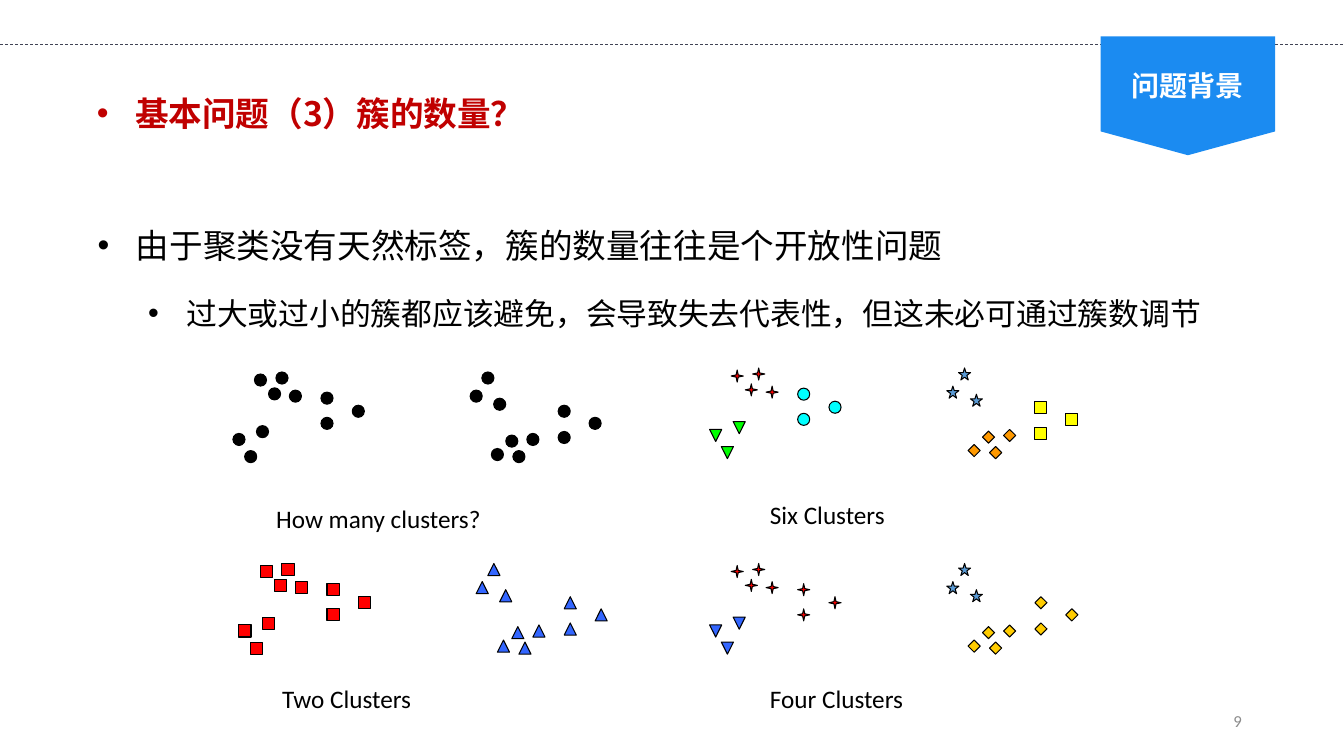
from lxml import etree
from pptx import Presentation, util as u
from pptx.dml.color import RGBColor
from pptx.enum import dml, shapes as sh, text as t
from pptx.oxml import ns

W, H = u.Inches(13.333), u.Inches(7.5)
COL, ROW = W / 100, H / 100
CJK = "Noto Sans CJK SC"
M = sh.MSO_SHAPE

BLOBS = {
    "a": [(4.2, 2.4), (1.6, 0.27), (3.2, 0), (2.65, 2.1)],
    "b": [(1.75, 7.1), (0, 8.13), (0.87, 10.4)],
    "c": [(6.55, 2.67), (8.88, 4.4), (6.55, 6)],
    "d": [(21.87, 8.13), (19.23, 10.13), (20.83, 10.4), (20.3, 8.35)],
    "e": [(19.4, 3.47), (17.65, 2.4), (18.52, 0)],
    "f": [(24.2, 7.87), (26.5, 6), (24.2, 4.4)],
}
PANELS = [
    ((17.33, 49.2), "How many clusters?", (2.48, 16.67),
     [("abcdef", M.OVAL, "000000", 0)]),
    ((52.8, 74.53), "Four Clusters", (3.75, 15.2),
     [("df", M.DIAMOND, "FFCC00", 0), ("e", M.STAR_5_POINT, "5B9BD5", 0),
      ("ac", M.STAR_4_POINT, "FF0000", 0),
      ("b", M.FLOWCHART_EXTRACT, "3366FF", 180)]),
    ((17.78, 74.53), "Two Clusters", (2.48, 15.2),
     [("def", M.ISOSCELES_TRIANGLE, "3366FF", 0),
      ("abc", M.RECTANGLE, "FF0000", 0)]),
    ((52.8, 48.67), "Six Clusters", (3.75, 16.67),
     [("d", M.DIAMOND, "FF9900", 0), ("e", M.STAR_5_POINT, "5B9BD5", 0),
      ("f", M.RECTANGLE, "FFFF00", 0), ("a", M.STAR_4_POINT, "FF0000", 0),
      ("b", M.ISOSCELES_TRIANGLE, "00FF00", 180),
      ("c", M.OVAL, "00FFFF", 0)]),
]


def color(value):
    return RGBColor.from_string(value)


def grid(x, y, w, h):
    return [round(n) for n in (x * COL, y * ROW, w * COL, h * ROW)]


def apply(obj, formats):
    for name, value in formats.items():
        setattr(obj, name, value)


def bullet(p, left, spacing, before):
    apply(p, {"line_spacing": spacing, "space_before": u.Pt(before),
              "space_after": u.Pt(4), "alignment": t.PP_ALIGN.LEFT})
    pPr = p._p.get_or_add_pPr()
    pPr.set("marL", str(u.Inches(left)))
    pPr.set("indent", str(u.Inches(-0.38)))
    etree.SubElement(pPr, ns.qn("a:buFont")).set("typeface", "Arial")
    etree.SubElement(pPr, ns.qn("a:buChar")).set("char", "•")


def write(p, words, size, fill, name, bold=False):
    r = p.add_run()
    r.text = words
    apply(r.font, {"size": u.Pt(size), "name": name, "bold": bold})
    r.font.color.rgb = color(fill)
    etree.SubElement(r.font._element, ns.qn("a:ea")).set("typeface", CJK)


def frame(sp, **formats):
    tf = sp.text_frame
    apply(tf, {"word_wrap": True, "vertical_anchor": t.MSO_ANCHOR.TOP,
               "auto_size": t.MSO_AUTO_SIZE.SHAPE_TO_FIT_TEXT, **formats})
    return tf


def paint(sp, fill):
    sp.shadow.inherit = False
    sp.fill.solid()
    sp.fill.fore_color.rgb = color(fill)


def top_rule(s, y):
    line = s.shapes.add_connector(sh.MSO_CONNECTOR.STRAIGHT, 0, round(y * ROW), W, round(y * ROW))
    line.line.color.rgb = color("414455")
    apply(line.line, {"width": u.Pt(0.5), "dash_style": dml.MSO_LINE.DASH})
    etree.SubElement(line._element.spPr, ns.qn("a:effectLst"))


def badge(s, x, y, w, h):
    sp = s.shapes.add_shape(M.FLOWCHART_OFFPAGE_CONNECTOR, *grid(x, y, w, h))
    paint(sp, "1B8BF1")
    sp.line.fill.background()
    label = s.shapes.add_textbox(*grid(x + 1.5, y + 3.6, w - 3, 5.87))
    p = frame(label, word_wrap=False).paragraphs[0]
    p.alignment = t.PP_ALIGN.CENTER
    write(p, "问题背景", 20, "FFFFFF", CJK, True)


def heading(s, *box):
    sp = s.shapes.title
    apply(sp, dict(zip(("left", "top", "width", "height"), grid(*box))))
    p = frame(sp).paragraphs[0]
    bullet(p, 0.88, 1.1, 0)
    write(p, "基本问题（3）簇的数量？", 24, "C00000", CJK, True)


def body(s, *box):
    tf = frame(s.shapes.add_textbox(*grid(*box)))
    p = tf.paragraphs[0]
    bullet(p, 0.88, 1.5, 0)
    write(p, "由于聚类没有天然标签，簇的数量往往是个开放性问题", 24, "000000", "Times New Roman")
    p = tf.add_paragraph()
    bullet(p, 1.38, 1.5, 4)
    write(p, "过大或过小的簇都应该避免，会导致失去代表性，但这未必可通过簇数调节",
          22, "000000", "Times New Roman")


def panel(s, origin, caption, offset, clusters):
    x, y = origin
    group = s.shapes.add_group_shape()
    for blobs, kind, fill, turn in clusters:
        for dx, dy in (dot for blob in blobs for dot in BLOBS[blob]):
            sp = group.shapes.add_shape(kind, *grid(x + dx, y + dy, 0.9, 1.6))
            paint(sp, fill)
            sp.line.color.rgb = color("000000")
            sp.line.width = u.Pt(0.75)
            sp.rotation = turn
            if kind == M.STAR_4_POINT:
                sp.adjustments[0] = 0.125
    label = group.shapes.add_textbox(*grid(x + offset[0], y + offset[1], 18.75, 5.33))
    write(frame(label).paragraphs[0], caption, 18, "000000", "Calibri")


def page_number(s, *box):
    sp = s.shapes.add_textbox(*grid(*box))
    tf = frame(sp, vertical_anchor=t.MSO_ANCHOR.MIDDLE, auto_size=t.MSO_AUTO_SIZE.NONE)
    p = tf.paragraphs[0]
    p.alignment = t.PP_ALIGN.RIGHT
    write(p, "9", 12, "8C8C8C", "Calibri")


def main():
    prs = Presentation()
    apply(prs, {"slide_width": W, "slide_height": H})
    s = prs.slides.add_slide(prs.slide_layouts.get_by_name("Title Only"))
    top_rule(s, 5.87)
    badge(s, 81.9, 4.8, 12.98, 15.73)
    heading(s, 2.7, 11.07, 94.58, 7.33)
    body(s, 2.78, 26.4, 90.6, 18.93)
    for spec_row in PANELS:
        panel(s, *spec_row)
    page_number(s, 70.65, 92.67, 22.5, 5.33)
    prs.save("out.pptx")


if __name__ == "__main__":
    main()
